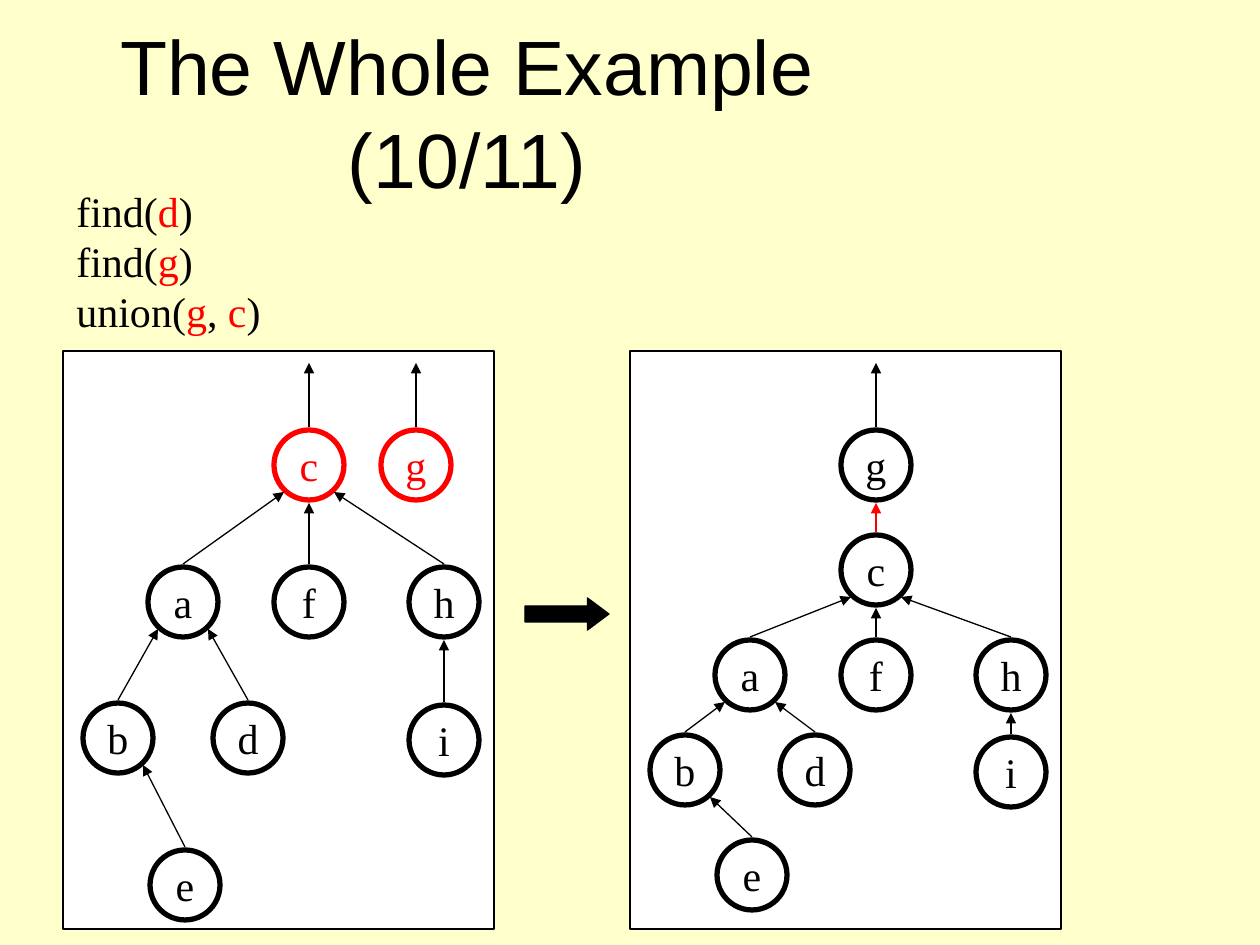
from dataclasses import dataclass

from lxml import etree
from pptx import Presentation
from pptx.dml.color import RGBColor
from pptx.enum.shapes import MSO_CONNECTOR, MSO_SHAPE
from pptx.enum.text import MSO_ANCHOR, MSO_AUTO_SIZE, PP_ALIGN
from pptx.oxml.ns import qn
from pptx.util import Emu, Pt

STRAIGHT = MSO_CONNECTOR.STRAIGHT
OVAL, RECTANGLE, RIGHT_ARROW = MSO_SHAPE.OVAL, MSO_SHAPE.RECTANGLE, MSO_SHAPE.RIGHT_ARROW
MIDDLE = MSO_ANCHOR.MIDDLE
NO_FIT = MSO_AUTO_SIZE.NONE
LEFT, CENTER = PP_ALIGN.LEFT, PP_ALIGN.CENTER


@dataclass(frozen=True)
class Theme:
    """Colours, fonts and type sizes of the slide."""
    paper: RGBColor = RGBColor(0xFF, 0xFF, 0xCC)
    panel: RGBColor = RGBColor(0xFF, 0xFF, 0xFF)
    ink: RGBColor = RGBColor(0x00, 0x00, 0x00)
    accent: RGBColor = RGBColor(0xFF, 0x00, 0x00)
    title_font: str = "Arial"
    body_font: str = "Times New Roman"
    title_size: int = 44
    body_size: int = 24
    leading: float = 1.2
    thin: float = 0.75
    thick: float = 3


THEME = Theme()
EMU_PER_PX = 914400 / 126
NODE_SIZE = 70
STEM_GAP = 38
ROOT_ARROW_TOP = 12
SIDE_REACH = (25, 27)

OPERATIONS = [
    ["find(", "d", ")"],
    ["find(", "g", ")"],
    ["union(", "g", ", ", "c", ")"],
]
COLUMNS = {"a": 120, "b": 55, "c": 246, "d": 185, "e": 122, "f": 246, "h": 381, "i": 381}
PARENTS = {"a": "c", "f": "c", "h": "c", "b": "a", "d": "a", "i": "h", "e": "b"}
ROWS_BEFORE = {"c": 114, "g": 114, "a": 251, "f": 251, "h": 251,
               "b": 387, "d": 387, "i": 389, "e": 534}
ROWS_AFTER = {"g": 114, "c": 219, "a": 324, "f": 324, "h": 324,
              "b": 419, "d": 419, "i": 421, "e": 524}


def px(*lengths):
    """Turn pixel lengths into EMU."""
    return [Emu(round(length * EMU_PER_PX)) for length in lengths]


def style_paragraph(paragraph, font_name, size, color, align):
    """Set the font and alignment of one paragraph."""
    paragraph.alignment = align
    paragraph.font.name = font_name
    paragraph.font.size = Pt(size)
    paragraph.font.color.rgb = color


def add_outlined(slide, preset, box, line_color, weight, fill=None):
    """Add a flat preset shape with an outline."""
    shape = slide.shapes.add_shape(preset, *px(*box))
    shape.shadow.inherit = False
    shape.line.color.rgb = line_color
    shape.line.width = Pt(weight)
    if fill is None:
        shape.fill.background()
    else:
        shape.fill.solid()
        shape.fill.fore_color.rgb = fill
    return shape


def add_pointer(slide, start, end, color):
    """Add a thin line with an arrowhead at its end."""
    pointer = slide.shapes.add_connector(STRAIGHT, *px(*start, *end))
    pointer.line.color.rgb = color
    pointer.line.width = Pt(THEME.thin)
    properties = pointer._element.spPr
    etree.SubElement(properties.find(qn("a:ln")), qn("a:tailEnd"), type="triangle")
    etree.SubElement(properties, qn("a:effectLst"))


def add_node(slide, label, center, color):
    """Add a labelled circle around its centre."""
    x, y = center
    box = (x - NODE_SIZE // 2, y - NODE_SIZE // 2, NODE_SIZE, NODE_SIZE)
    frame = add_outlined(slide, OVAL, box, color, THEME.thick).text_frame
    frame.word_wrap = False
    frame.vertical_anchor = MIDDLE
    frame.text = label
    style_paragraph(frame.paragraphs[0], THEME.body_font, THEME.body_size, color, CENTER)


def add_forest(slide, box, columns, rows, parents, red_nodes="", red_links=""):
    """Draw a panel holding trees whose children point to their parents."""
    left, top, _, _ = box
    add_outlined(slide, RECTANGLE, box, THEME.ink, THEME.thin, THEME.panel)
    centers = {label: (left + columns[label], top + row) for label, row in rows.items()}
    for label, (x, y) in centers.items():
        add_node(slide, label, (x, y), THEME.accent if label in red_nodes else THEME.ink)
        end = (x, top + ROOT_ARROW_TOP)
        if label in parents:
            parent_x, parent_y = centers[parents[label]]
            side = (x > parent_x) - (x < parent_x)
            reach_x, reach_y = SIDE_REACH
            end = (parent_x + side * reach_x, parent_y + (reach_y if side else STEM_GAP))
        link_color = THEME.accent if label in red_links else THEME.ink
        add_pointer(slide, (x, y - STEM_GAP), end, link_color)


def add_title(slide, box, wording):
    """Fill the title placeholder."""
    title = slide.shapes.title
    title.left, title.top, title.width, title.height = px(*box)
    frame = title.text_frame
    frame.text = wording
    frame.word_wrap = True
    frame.auto_size = NO_FIT
    frame.vertical_anchor = MIDDLE
    heading = frame.paragraphs[0]
    heading.line_spacing = Pt(THEME.title_size * THEME.leading)
    style_paragraph(heading, THEME.title_font, THEME.title_size, THEME.ink, CENTER)


def add_operations(slide, box, operations):
    """List the operations with their arguments in red."""
    frame = slide.shapes.add_textbox(*px(*box)).text_frame
    frame.word_wrap = True
    frame.auto_size = NO_FIT
    for index, pieces in enumerate(operations):
        operation = frame.add_paragraph() if index else frame.paragraphs[0]
        operation.line_spacing = Pt(THEME.body_size * THEME.leading)
        style_paragraph(operation, THEME.body_font, THEME.body_size, THEME.ink, LEFT)
        for position, piece in enumerate(pieces):
            run = operation.add_run()
            run.text = piece
            if position % 2:
                run.font.color.rgb = THEME.accent


def add_step_arrow(slide, box):
    """Add the block arrow between the two panels."""
    arrow = add_outlined(slide, RIGHT_ARROW, box, THEME.ink, THEME.thin, THEME.ink)
    arrow.adjustments[1] = 0.67


def main():
    """Build the slide and save it."""
    presentation = Presentation()
    presentation.slide_width, presentation.slide_height = px(1260, 945)
    slide = presentation.slides.add_slide(presentation.slide_layouts[5])
    slide.background.fill.solid()
    slide.background.fill.fore_color.rgb = THEME.paper

    add_title(slide, (10, 32, 914, 158), "The Whole Example (10/11)")
    add_operations(slide, (64, 179, 226, 164), OPERATIONS)
    add_forest(slide, (63, 351, 431, 578), COLUMNS | {"g": 353}, ROWS_BEFORE, PARENTS,
               red_nodes="cg")
    add_forest(slide, (630, 351, 431, 578), COLUMNS | {"g": COLUMNS["c"]}, ROWS_AFTER,
               PARENTS | {"c": "g"}, red_links="c")
    add_step_arrow(slide, (525, 598, 84, 32))
    presentation.save("out.pptx")


if __name__ == "__main__":
    main()
